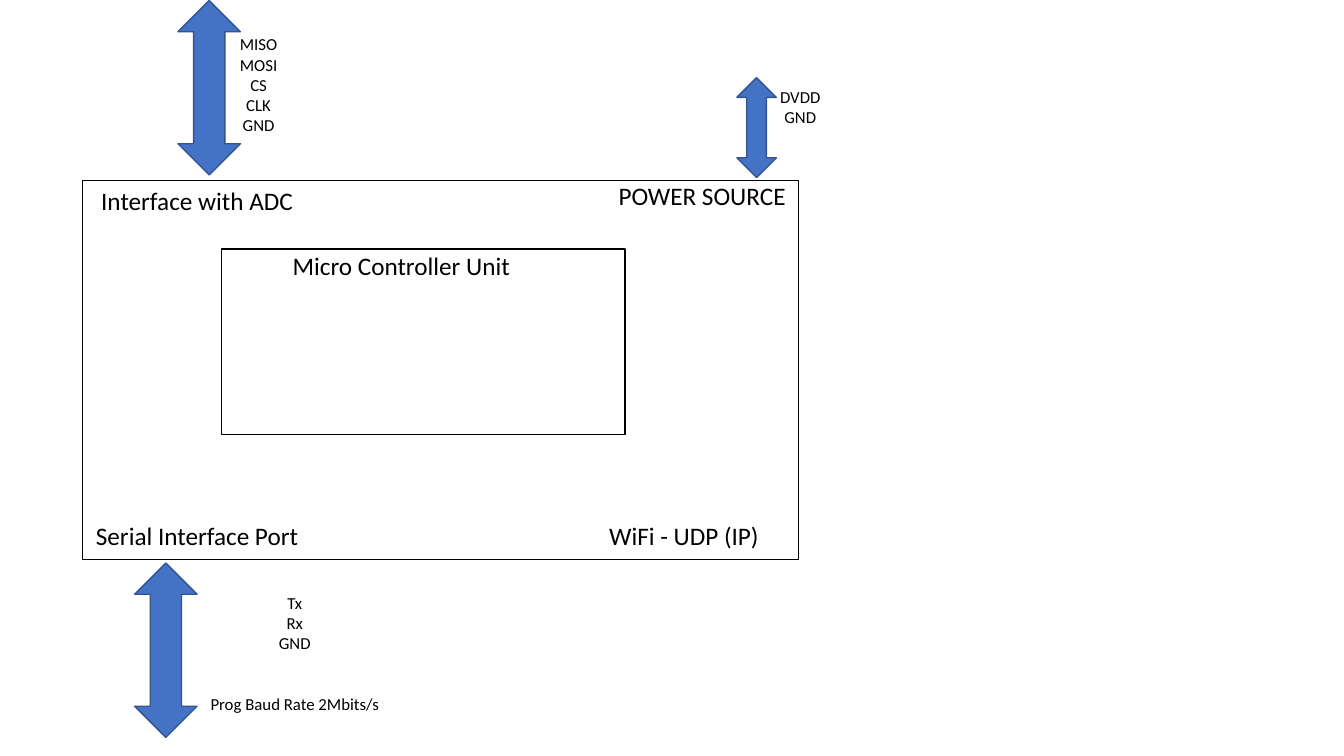
from collections import namedtuple

from pptx import Presentation
from pptx.dml.color import RGBColor
from pptx.enum.shapes import MSO_SHAPE
from pptx.enum.text import MSO_AUTO_SIZE, PP_ALIGN
from pptx.util import Inches, Pt

RECTANGLE = MSO_SHAPE.RECTANGLE
DOUBLE_ARROW = MSO_SHAPE.LEFT_RIGHT_ARROW
CENTER = PP_ALIGN.CENTER
FIT_SHAPE = MSO_AUTO_SIZE.SHAPE_TO_FIT_TEXT

BLACK = RGBColor(0x00, 0x00, 0x00)
BLUE = RGBColor(0x44, 0x72, 0xC4)
DARK_BLUE = RGBColor(0x32, 0x54, 0x91)

FONT = "Calibri"
LABEL_SIZE = Pt(18)
PIN_SIZE = Pt(12)
NOTE_GAP = Pt(29)

SLIDE_WIDTH = Inches(13.33)
SLIDE_HEIGHT = Inches(7.5)
COLUMN = SLIDE_WIDTH / 100
ROW = SLIDE_HEIGHT / 100
LABEL_ROWS = 5.33

Box = namedtuple("Box", "left top width height")


def inside(box, left, top, width, height):
    """Return a box placed from the top left corner of another."""
    return Box(box.left + left, box.top + top, width, height)


def to_emu(box):
    """Turn a box in columns and rows into slide lengths."""
    return (round(box.left * COLUMN), round(box.top * ROW),
            round(box.width * COLUMN), round(box.height * ROW))


def add_lines(slide, box, lines, size):
    """Write centred lines of text and return their paragraphs."""
    frame = slide.shapes.add_textbox(*to_emu(box)).text_frame
    frame.word_wrap = True
    frame.auto_size = FIT_SHAPE
    frame.text = "\n".join(lines)
    for paragraph in frame.paragraphs:
        paragraph.alignment = CENTER
        paragraph.font.name = FONT
        paragraph.font.size = size
        paragraph.font.color.rgb = BLACK
    return frame.paragraphs


def add_outline(slide, box):
    """Draw an unfilled black rectangle."""
    outline = slide.shapes.add_shape(RECTANGLE, *to_emu(box))
    outline.shadow.inherit = False
    outline.fill.background()
    outline.line.color.rgb = BLACK
    outline.line.width = Pt(1)


def add_board(slide, box):
    """Draw the board with its controller and its port labels."""
    add_outline(slide, box)
    add_outline(slide, inside(box, 10.35, 9.07, 30, 24.53))
    labels = (
        ("Interface with ADC", 0, 0, 17.03),
        ("POWER SOURCE", 38.25, -0.67, 15.68),
        ("Micro Controller Unit", 4.13, 8.53, 39.15),
        ("Serial Interface Port", 0, 44.27, 17.03),
        ("WiFi - UDP (IP)", 36.15, 44.27, 17.18),
    )
    for label, left, top, width in labels:
        add_lines(slide, inside(box, left, top, width, LABEL_ROWS), [label], LABEL_SIZE)


def add_link(slide, box, pins_box, pins, note=None):
    """Draw an upright double arrow in the box with its pin names beside it."""
    left, top, width, height = to_emu(box)
    shift = (height - width) // 2
    arrow = slide.shapes.add_shape(DOUBLE_ARROW, left - shift, top + shift, height, width)
    arrow.rotation = 90
    arrow.shadow.inherit = False
    arrow.fill.solid()
    arrow.fill.fore_color.rgb = BLUE
    arrow.line.color.rgb = DARK_BLUE
    arrow.line.width = Pt(1)
    lines = pins + [note] if note else pins
    paragraphs = add_lines(slide, inside(box, *pins_box), lines, PIN_SIZE)
    if note:
        paragraphs[-1].space_before = NOTE_GAP


def main():
    """Build the block diagram slide."""
    deck = Presentation()
    deck.slide_width = SLIDE_WIDTH
    deck.slide_height = SLIDE_HEIGHT
    slide = deck.slides.add_slide(deck.slide_layouts[6])
    add_board(slide, Box(6.15, 23.87, 53.26, 50.13))
    add_link(slide, Box(13.24, 0.07, 4.65, 23.07), (3.26, 3.8, 5.48, 14.8),
             ["MISO", "MOSI", "CS", "CLK", "GND"])
    add_link(slide, Box(10.01, 74.47, 4.65, 23.07), (4.61, 3.27, 14.63, 17.47),
             ["Tx", "Rx", "GND"], "Prog Baud Rate 2Mbits/s")
    add_link(slide, Box(54.83, 10.27, 2.93, 13.2), (1.27, 0.53, 6.9, 6.67),
             ["DVDD", "GND"])
    deck.save("out.pptx")


if __name__ == "__main__":
    main()
